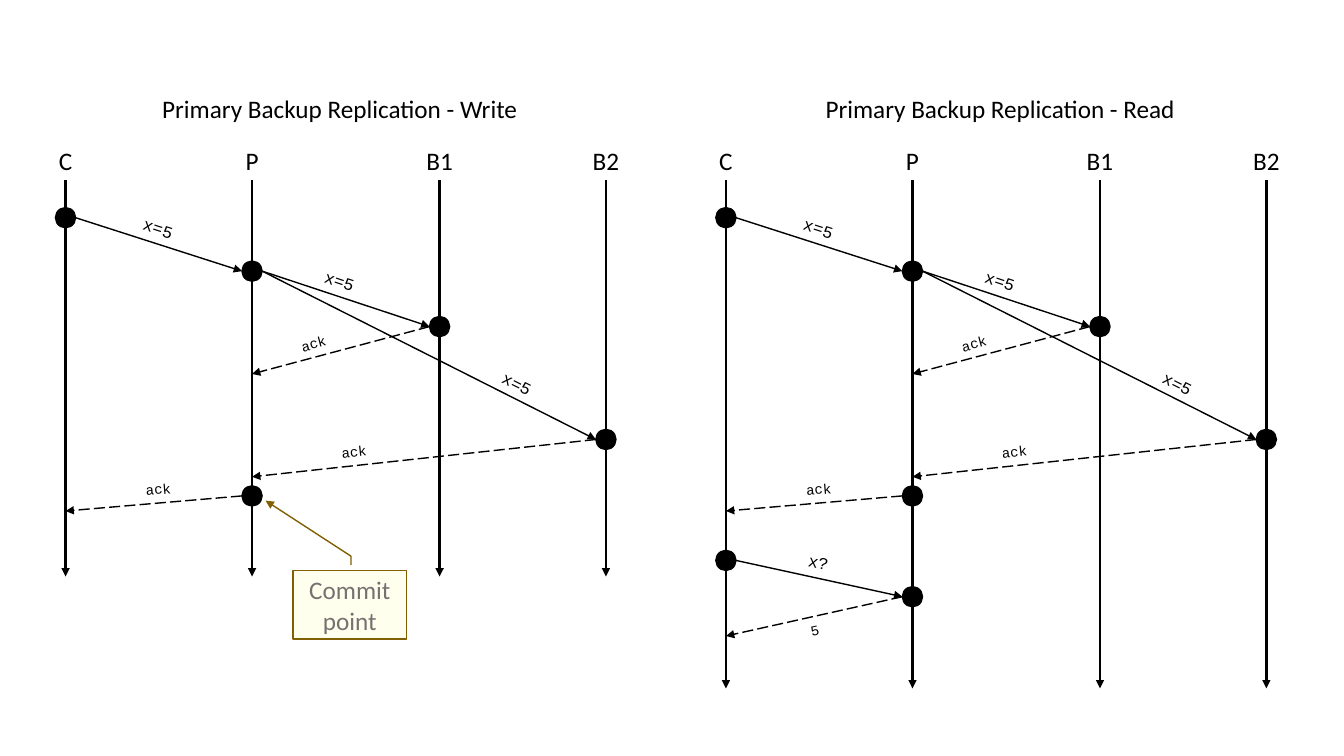
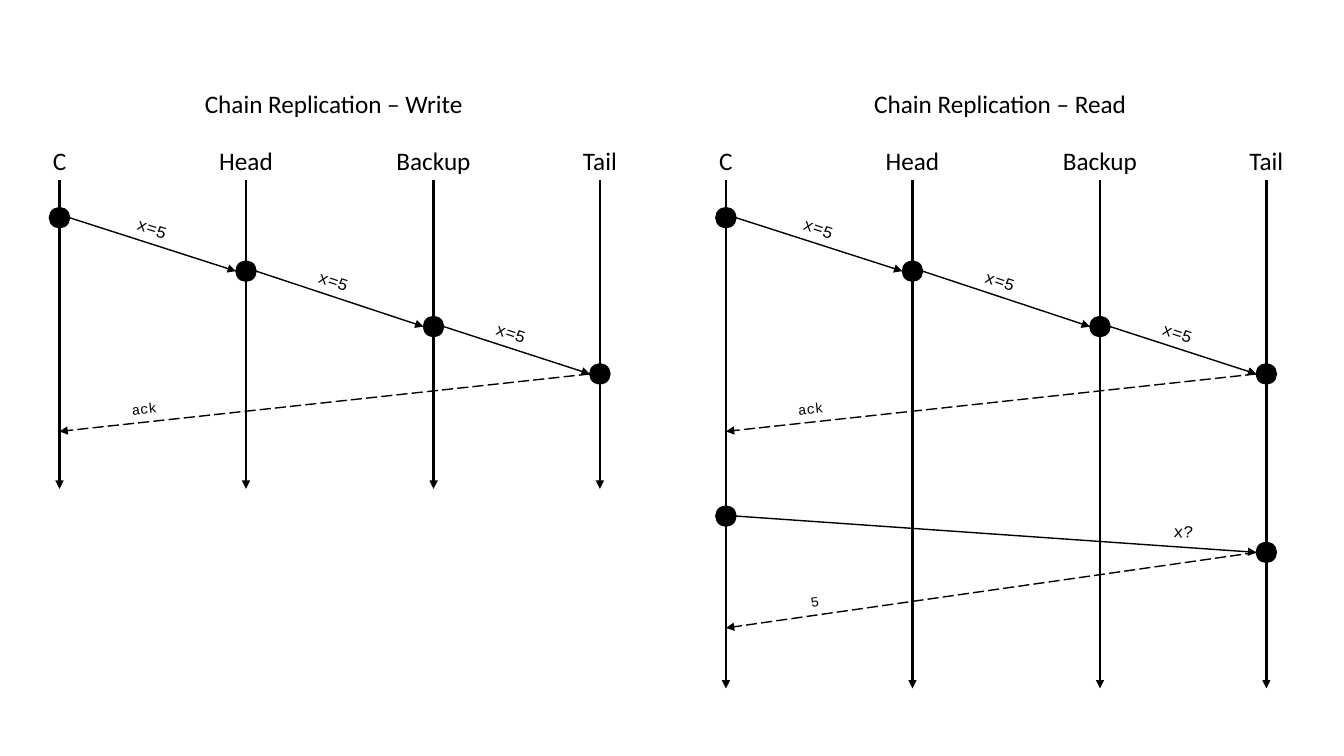
"""Message diagrams comparing primary backup and chain replication."""
import math
from dataclasses import dataclass

from lxml import etree
from pptx import Presentation
from pptx import util as u
from pptx.dml.color import RGBColor
from pptx.enum import dml, shapes, text
from pptx.oxml import ns

BLACK, CREAM, BROWN, GREY = "000000", "FFFFEE", "806000", "767171"
SANS, MONO = "Calibri", "Courier New"
LANES = (0, 1.85, 3.71, 5.36)
LANE_TOP = 1.79
DOT_RADIUS = 0.1
HEADING_CENTRE = 2.72
COMPARISON_LAYOUT = 4


@dataclass(frozen=True)
class Message:
    """One message between two lanes, labelled at a distance from the client."""
    sender: int
    sent: float
    receiver: int
    received: float
    words: str
    words_at: float
    reply: bool = False
    below: bool = False

    @property
    def ends(self) -> tuple[float, float]:
        """Return where the arrow leaves and arrives, measured from the client."""
        step = math.copysign(DOT_RADIUS, self.receiver - self.sender)
        arrival = LANES[self.receiver] - (0 if self.reply else step)
        return LANES[self.sender] + step, arrival

    @property
    def dots(self) -> set[tuple[int, float]]:
        """Return the lanes and heights at which this message marks an event."""
        sending = {(self.sender, self.sent)}
        return sending if self.reply else sending | {(self.receiver, self.received)}


@dataclass(frozen=True)
class Panel:
    """One diagram with its heading, lanes and messages."""
    heading: str
    client_x: float
    bottom: float
    messages: tuple[Message, ...]


@dataclass(frozen=True)
class Topic:
    """One slide with a panel for writing and a panel for reading."""
    heading_top: float
    nodes: tuple[str, ...]
    writing: Panel
    reading: Panel


PRIMARY_WRITE = (
    Message(0, 2.16, 1, 2.69, "x=5", 0.92),
    Message(1, 2.69, 2, 3.24, "x=5", 2.72),
    Message(1, 2.69, 3, 4.36, "x=5", 4.48),
    Message(2, 3.24, 1, 3.71, "ack", 2.46, reply=True),
    Message(3, 4.36, 1, 4.73, "ack", 2.86, reply=True),
    Message(1, 4.92, 0, 5.07, "ack", 0.92, reply=True),
)
PRIMARY_QUERY = (
    Message(0, 5.56, 1, 5.92, "x?", 0.92),
    Message(1, 5.92, 0, 6.31, "5", 0.88, reply=True, below=True),
)
CHAIN_WRITE = (
    Message(0, 2.16, 1, 2.69, "x=5", 0.92),
    Message(1, 2.69, 2, 3.24, "x=5", 2.72),
    Message(2, 3.24, 3, 3.71, "x=5", 4.48),
    Message(3, 3.71, 0, 4.28, "ack", 0.84, reply=True),
)
CHAIN_QUERY = (
    Message(0, 5.12, 3, 5.48, "x?", 4.54),
    Message(3, 5.48, 0, 6.23, "5", 0.88, reply=True),
)
PRIMARY = Topic(
    0.88, ("C", "P", "B1", "B2"),
    Panel("Primary Backup Replication - Write", 0.65, 5.72, PRIMARY_WRITE),
    Panel("Primary Backup Replication - Read", 7.2, 6.83, PRIMARY_WRITE + PRIMARY_QUERY),
)
CHAIN = Topic(
    0.83, ("C", "Head", "Backup", "Tail"),
    Panel("Chain Replication – Write", 0.59, 4.85, CHAIN_WRITE),
    Panel("Chain Replication – Read", 7.2, 6.83, CHAIN_WRITE + CHAIN_QUERY),
)


def colour(value: str) -> RGBColor:
    """Turn a hex string into a colour."""
    return RGBColor.from_string(value)


def place(shape, centre_x: float, top: float, width: float, height: float) -> None:
    """Position a shape by its horizontal centre and its top."""
    shape.left, shape.top = u.Inches(centre_x - width / 2), u.Inches(top)
    shape.width, shape.height = u.Inches(width), u.Inches(height)


def set_words(shape, words: str, size: float = 18, font: str = SANS,
              ink: str = BLACK, wrap: bool = False) -> None:
    """Fill a shape with centred text in one style."""
    frame = shape.text_frame
    frame.text = words
    frame.word_wrap = wrap
    frame.auto_size = text.MSO_AUTO_SIZE.NONE
    frame.vertical_anchor = text.MSO_ANCHOR.MIDDLE
    paragraph = frame.paragraphs[0]
    paragraph.alignment = text.PP_ALIGN.CENTER
    paragraph.space_before = u.Pt(0)
    for run in paragraph.runs:
        run.font.size, run.font.name, run.font.bold = u.Pt(size), font, False
        run.font.color.rgb = colour(ink)


def add_label(slide, words: str, centre_x: float, top: float, height: float,
              size: float = 18, font: str = SANS, angle: float = 0) -> None:
    """Add a text label, turned to follow its line."""
    label = slide.shapes.add_textbox(0, 0, 0, 0)
    place(label, centre_x, top, 1, height)
    label.rotation = angle
    set_words(label, words, size, font)


def add_arrowhead(shape) -> None:
    """End the line of a shape with a triangle."""
    outline = shape.element.spPr.get_or_add_ln()
    etree.SubElement(outline, ns.qn("a:tailEnd"), type="triangle")


def add_arrow(slide, start: tuple[float, float], end: tuple[float, float],
              weight: float = 1, dashed: bool = False) -> None:
    """Add a straight black arrow."""
    arrow = slide.shapes.add_connector(
        shapes.MSO_CONNECTOR.STRAIGHT, *(u.Inches(value) for value in start + end))
    arrow.line.color.rgb = colour(BLACK)
    arrow.line.width = u.Pt(weight)
    if dashed:
        arrow.line.dash_style = dml.MSO_LINE.LONG_DASH
    add_arrowhead(arrow)
    etree.SubElement(arrow.element.spPr, ns.qn("a:effectLst"))


def paint(shape, fill: str, line: str) -> None:
    """Give a shape a flat fill and a thin outline."""
    shape.shadow.inherit = False
    shape.fill.solid()
    shape.fill.fore_color.rgb = colour(fill)
    shape.line.color.rgb = colour(line)
    shape.line.width = u.Pt(1)


def add_dot(slide, x: float, y: float) -> None:
    """Mark an event on a lane."""
    dot = slide.shapes.add_shape(shapes.MSO_SHAPE.OVAL, 0, 0, 0, 0)
    place(dot, x, y - DOT_RADIUS, 2 * DOT_RADIUS, 2 * DOT_RADIUS)
    paint(dot, BLACK, BLACK)


def add_message(slide, message: Message, client_x: float) -> None:
    """Draw the arrow of a message and set its words along it."""
    start, end = message.ends
    add_arrow(slide, (client_x + start, message.sent),
              (client_x + end, message.received), dashed=message.reply)
    slope = (message.received - message.sent) / (end - start)
    size, gap = (10, 0.14) if message.reply else (12, 0.16)
    offset = gap if message.below else -gap
    middle = message.sent + slope * (message.words_at - start) + offset
    add_label(slide, message.words, client_x + message.words_at, middle - 0.15,
              0.3, size, MONO, math.degrees(math.atan(slope)))


def add_panel(slide, panel: Panel, nodes: tuple[str, ...], heading,
              heading_top: float) -> None:
    """Draw a diagram under its heading."""
    place(heading, panel.client_x + HEADING_CENTRE, heading_top, 4.5, 0.4)
    set_words(heading, panel.heading)
    for node, lane in zip(nodes, LANES):
        x = panel.client_x + lane
        add_label(slide, node, x, 1.39, 0.4)
        add_arrow(slide, (x, LANE_TOP), (x, panel.bottom), weight=2)
    for message in panel.messages:
        add_message(slide, message, panel.client_x)
    events = set().union(*(message.dots for message in panel.messages))
    for lane, y in sorted(events):
        add_dot(slide, panel.client_x + LANES[lane], y)


def add_commit_point(slide) -> None:
    """Point out where the write is committed."""
    commit = slide.shapes.add_shape(shapes.MSO_SHAPE.LINE_CALLOUT_2, 0, 0, 0, 0)
    place(commit, 3.47, 5.66, 1.13, 0.68)
    for index, value in enumerate((-0.08, 0.51, -0.21, 0.51, -1.02, -0.24)):
        commit.adjustments[index] = value
    paint(commit, CREAM, BROWN)
    add_arrowhead(commit)
    set_words(commit, "Commit point", ink=GREY, wrap=True)


def add_topic(deck, topic: Topic):
    """Add a slide with both panels of a topic."""
    slide = deck.slides.add_slide(deck.slide_layouts[COMPARISON_LAYOUT])
    writing_heading, reading_heading, *unused = slide.placeholders
    for placeholder in unused:
        placeholder.element.getparent().remove(placeholder.element)
    add_panel(slide, topic.writing, topic.nodes, writing_heading, topic.heading_top)
    add_panel(slide, topic.reading, topic.nodes, reading_heading, topic.heading_top)
    return slide


def main() -> None:
    """Build and save the deck."""
    deck = Presentation()
    deck.slide_width, deck.slide_height = u.Inches(13.33), u.Inches(7.5)
    add_commit_point(add_topic(deck, PRIMARY))
    add_topic(deck, CHAIN)
    deck.save("out.pptx")


if __name__ == "__main__":
    main()
